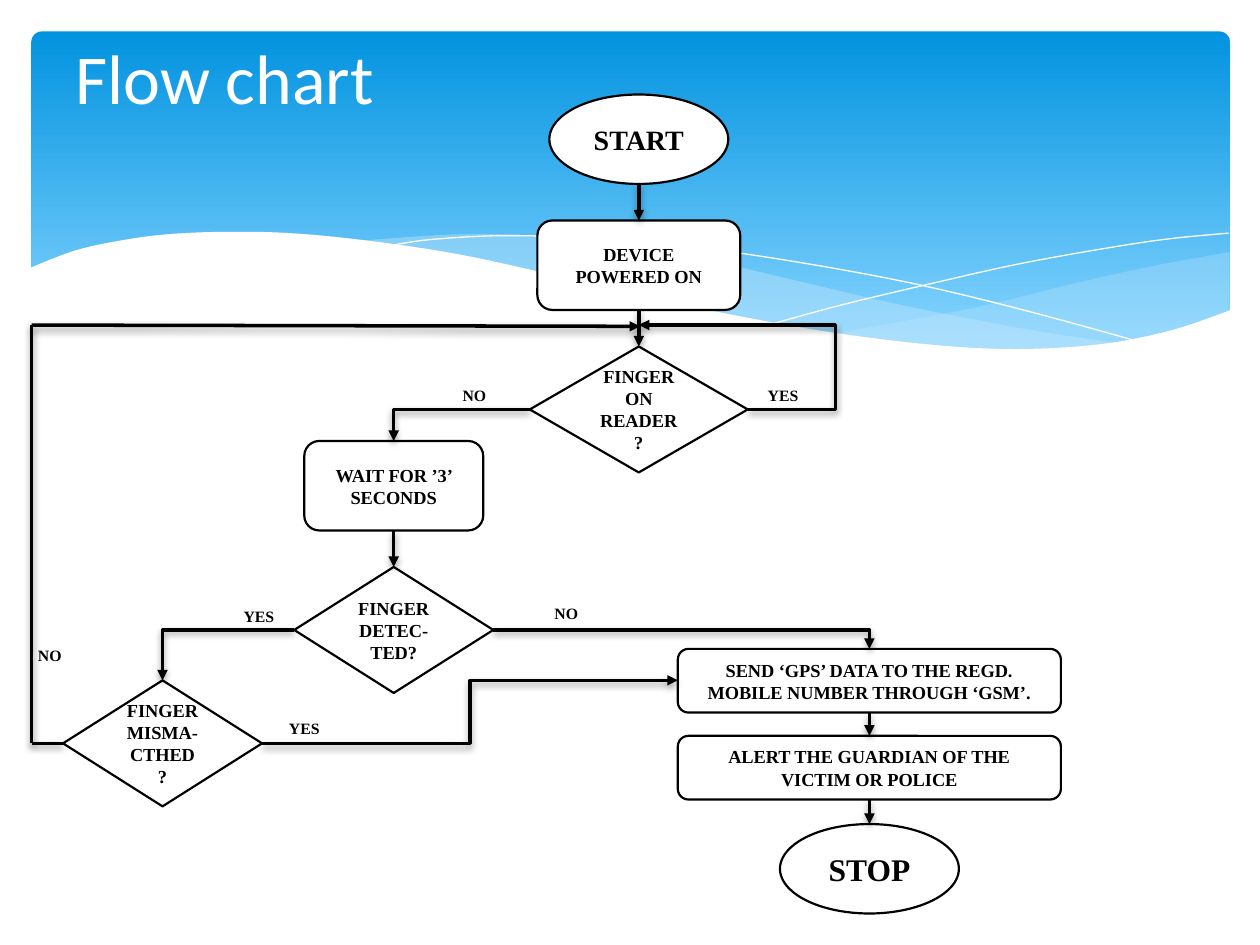
from lxml import etree
from pptx import Presentation
from pptx.dml.color import RGBColor
from pptx.enum.shapes import MSO_CONNECTOR, MSO_SHAPE
from pptx.enum.text import MSO_ANCHOR, PP_ALIGN
from pptx.oxml import parse_xml
from pptx.oxml.ns import nsdecls, qn
from pptx.util import Inches, Pt

OVAL, ROUND, KITE = MSO_SHAPE.OVAL, MSO_SHAPE.ROUNDED_RECTANGLE, MSO_SHAPE.DIAMOND
LINE, ELBOW = MSO_CONNECTOR.STRAIGHT, MSO_CONNECTOR.ELBOW
MID, LEFT, CENTER = MSO_ANCHOR.MIDDLE, PP_ALIGN.LEFT, PP_ALIGN.CENTER
BLACK, WHITE = RGBColor(0, 0, 0), RGBColor(255, 255, 255)
DEEP, SKY, MIST = RGBColor(2, 147, 224), RGBColor(131, 211, 254), RGBColor(198, 231, 252)
HEAD = {"name": "Calibri", "bold": False}
BODY = {"name": "Times New Roman", "bold": True}

# Grid of 100 columns by 75 rows
CELL = Inches(0.1)
deck = Presentation()
deck.slide_width, deck.slide_height = 100 * CELL, 75 * CELL
slide = deck.slides.add_slide(deck.slide_layouts[6])
shapes = slide.shapes


def cells(*nums):
    return [round(n * CELL) for n in nums]


def curve(knots, steps=6):
    """Points of a Catmull-Rom spline through the knots."""
    ends = [knots[0], *knots, knots[-1]]
    dots = [knots[0]]
    for a, b, c, d in zip(ends, ends[1:], ends[2:], ends[3:]):
        for n in range(1, steps + 1):
            t = n / steps
            dots.append(tuple(
                (2 * q + (r - p) * t + (2 * p - 5 * q + 4 * r - s) * t ** 2
                 + (3 * q - p - 3 * r + s) * t ** 3) / 2
                for p, q, r, s in zip(a, b, c, d)))
    return dots


# Blue panel
panel = shapes.add_shape(ROUND, *cells(2.5, 2.5, 95.1, 27))
panel.adjustments[0] = 0.03
panel.shadow.inherit = False
panel.line.fill.background()
panel.fill.gradient()
panel.fill.gradient_angle = 270
for stop, tint, spot in zip(panel.fill.gradient_stops, (DEEP, SKY), (0, 0.9)):
    stop.color.rgb, stop.position = tint, spot

# Waves: strips of knots, fill, opacity in percent
waves = [
    ([[(97.6, 20), (92.1, 21), (86.1, 22.3), (77.9, 24.3), (70.6, 25.7), (66.1, 26.5)],
      [(66.1, 26.5), (70.5, 27.1), (75.7, 27.6), (81.4, 27.8), (87.2, 27.4),
       (92.1, 26.5), (97.6, 24.7)]], MIST, 29),
    ([[(89.3, 27.3), (83.7, 26.5), (77.5, 25.4), (70.6, 24), (62.9, 22.2), (55.5, 20.5),
       (48.9, 19.4), (42, 18.7), (36.1, 18.6), (28.6, 19.1)],
      [(28.6, 19.1), (34.2, 19.9), (40.4, 21.1), (49.1, 23.2), (56.6, 24.8), (63.4, 26.1),
       (70.9, 27.2), (77.3, 27.8), (82.8, 27.8), (89.3, 27.3)]], MIST, 40),
    ([[(30.9, 19.5), (34.3, 19), (40.1, 18.7), (46.9, 18.9), (53.2, 19.4), (60.8, 20.4),
       (69.5, 21.9), (76, 23.3), (83.1, 25.1), (90.7, 27.2)]], None, 100),
    ([[(61.3, 25.7), (67.2, 24.1), (74.8, 22.3), (80.6, 21), (86.6, 19.9),
       (92.4, 19), (97.5, 18.5)]], None, 100),
    ([[(97.7, 24.6), (93, 26.2), (87.5, 27.3), (80.9, 27.7), (74.4, 27.4), (66.8, 26.5),
       (60.3, 25.4), (52.9, 23.9), (44.7, 22), (36.5, 20.2), (29.2, 19.1), (23, 18.5),
       (17.7, 18.4), (13.2, 18.6), (9.5, 19.1), (5.9, 19.9), (2.3, 21.3)],
      [(2.3, 32.9), (97.7, 32.9)]], WHITE, 100),
]
for strips, tint, part in waves:
    dots = [cells(*dot) for strip in strips
            for dot in (curve(strip) if len(strip) > 2 else strip)]
    pen = shapes.build_freeform(*dots[0], scale=1.0)
    pen.add_line_segments(dots[1:], close=tint is not None)
    wave = pen.convert_to_shape()
    wave.shadow.inherit = False
    if tint is None:
        wave.fill.background()
        wave.line.color.rgb, wave.line.width = WHITE, Pt(0)
        continue
    wave.line.fill.background()
    wave.fill.solid()
    wave.fill.fore_color.rgb = tint
    if part < 100:
        hue = wave.fill._xPr.find(".//" + qn("a:srgbClr"))
        etree.SubElement(hue, qn("a:alpha"), val=str(part * 1000))

# Title, nodes and labels: key, outline, left, top, width, height, text, size
items = [
    ("title", None, 5, 2.5, 52.5, 7.1, "Flow chart", 40),
    ("start", OVAL, 43.6, 7.5, 14.2, 7.1, "START", 16),
    ("power", ROUND, 42.65, 17.5, 16.1, 7.1, "DEVICE POWERED ON", 10.5),
    ("reader", KITE, 42.05, 27.5, 17.3, 10, "FINGER ON READER?", 10.5),
    ("wait", ROUND, 24.15, 35, 14.2, 7.1, "WAIT FOR ’3’ SECONDS", 10.5),
    ("detect", KITE, 23.35, 45, 15.8, 10, "FINGER DETEC-TED?", 10.5),
    ("match", KITE, 5, 54, 15.8, 10, "FINGER MISMA-CTHED\n?", 10.5),
    ("send", ROUND, 53.8, 51.5, 30.4, 5.05, "SEND ‘GPS’ DATA TO THE REGD. "
     "MOBILE NUMBER THROUGH ‘GSM’.", 10.5),
    ("alert", ROUND, 53.8, 58.4, 30.4, 5.05, "ALERT THE GUARDIAN OF THE "
     "VICTIM OR POLICE", 10.5),
    ("stop", OVAL, 61.9, 65.4, 14.2, 7.1, "STOP", 18),
]
labels = [("YES", 59.3, 30.3), ("NO", 34.8, 30.3), ("YES", 17.7, 47.8),
          ("NO", 42.1, 47.6), ("NO", 1.1, 50.9), ("YES", 21.3, 56.7)]
items += [("label", None, x, y, 5.7, 2.2, word, 9) for word, x, y in labels]
nodes = {}
for key, form, x, y, w, h, words, size in items:
    area = cells(x, y, w, h)
    if form is None:
        box = shapes.add_textbox(*area)
    else:
        box = nodes[key] = shapes.add_shape(form, *area)
        box.shadow.inherit = False
        box.fill.solid()
        box.fill.fore_color.rgb = WHITE
        box.line.color.rgb, box.line.width = BLACK, Pt(1.25)
    frame = box.text_frame
    frame.text, frame.word_wrap, frame.vertical_anchor = words, True, MID
    top = key == "title"
    for para in frame.paragraphs:
        para.alignment = LEFT if top else CENTER
        para.font.color.rgb = WHITE if top else BLACK
        for name, value in {**(HEAD if top else BODY), "size": Pt(size)}.items():
            setattr(para.font, name, value)

# Wires: x1, y1, x2, y2, preset for a bend, joint at start, joint at end, arrow
wires = [
    (50.7, 14.6, 50.7, 17.5, None, None, ("power", 0), True),
    (50.7, 24.6, 50.7, 27.5, None, ("power", 2), ("reader", 0), True),
    (31.25, 42.1, 31.25, 45, None, ("wait", 2), ("detect", 0), True),
    (69, 56.55, 69, 58.4, None, ("send", 2), ("alert", 0), True),
    (69, 63.45, 69, 65.4, None, ("alert", 2), ("stop", 0), True),
    (5, 59, 2.5, 59, None, ("match", 1), None, False),
    (2.5, 59, 2.5, 25.8, None, None, None, False),
    (2.5, 25.8, 50.8, 25.9, None, None, None, True),
    (59.35, 32.5, 50.7, 25.8, "bentConnector3", None, None, True),
    (42.05, 32.5, 31.25, 35, "bentConnector2", None, None, True),
    (23.35, 50, 12.9, 54, "bentConnector2", None, None, True),
    (39.15, 50, 69, 51.5, "bentConnector2", None, None, True),
    (20.8, 59, 53.8, 54, "bentConnector3", None, None, True),
]
SHADE = (f'<a:effectLst {nsdecls("a")}><a:outerShdw blurRad="50800" dist="25400" '
         'dir="5400000" rotWithShape="0"><a:srgbClr val="000000">'
         '<a:alpha val="38000"/></a:srgbClr></a:outerShdw></a:effectLst>')
for x1, y1, x2, y2, bend, tail, tip, arrow in wires:
    wire = shapes.add_connector(ELBOW if bend else LINE, *cells(x1, y1, x2, y2))
    if tail:
        wire.begin_connect(nodes[tail[0]], tail[1])
    if tip:
        wire.end_connect(nodes[tip[0]], tip[1])
    wire.line.color.rgb, wire.line.width = BLACK, Pt(2)
    props = wire._element.spPr
    if bend:
        geom = props.find(qn("a:prstGeom"))
        geom.set("prst", bend)
        if x2 < x1 and bend == "bentConnector3":  # loop out beyond the start
            etree.SubElement(geom.find(qn("a:avLst")), qn("a:gd"),
                             name="adj1", fmla="val -80300")
    if arrow:
        etree.SubElement(props.find(qn("a:ln")), qn("a:tailEnd"), type="triangle")
    props.append(parse_xml(SHADE))

deck.save("out.pptx")
